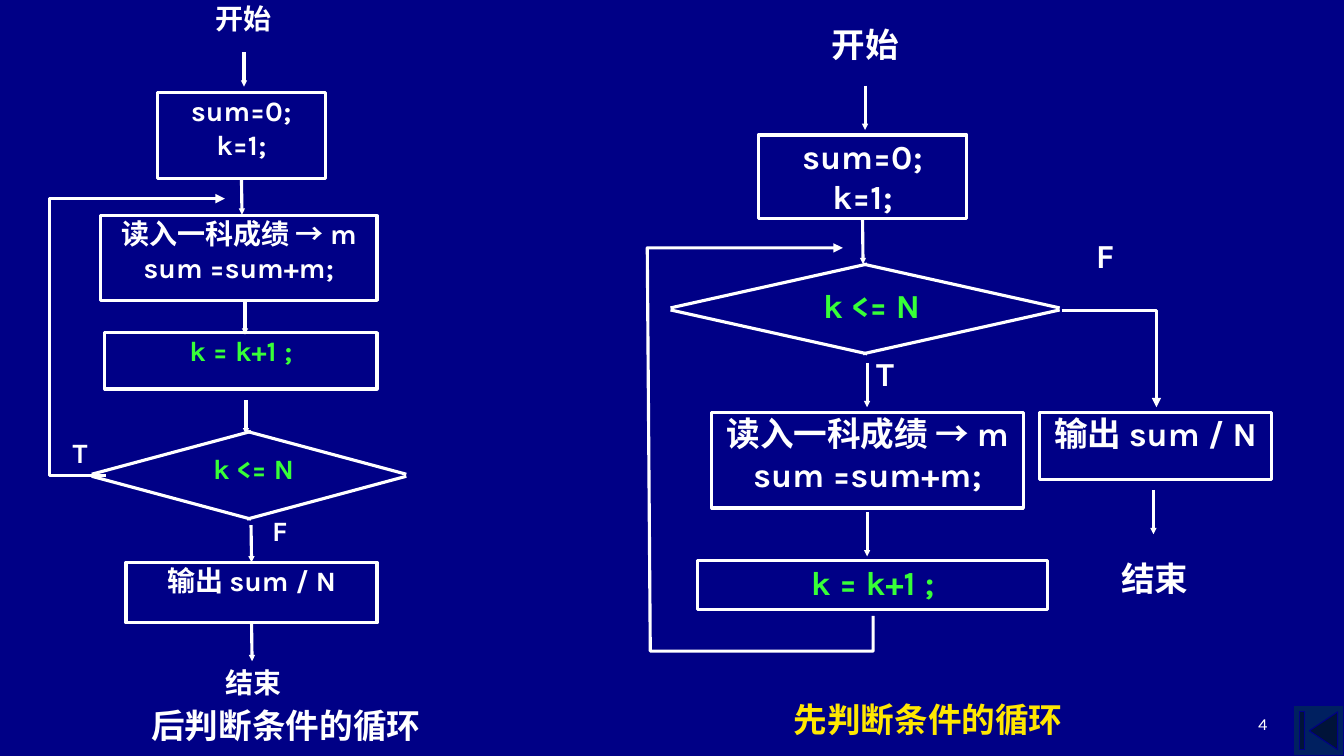
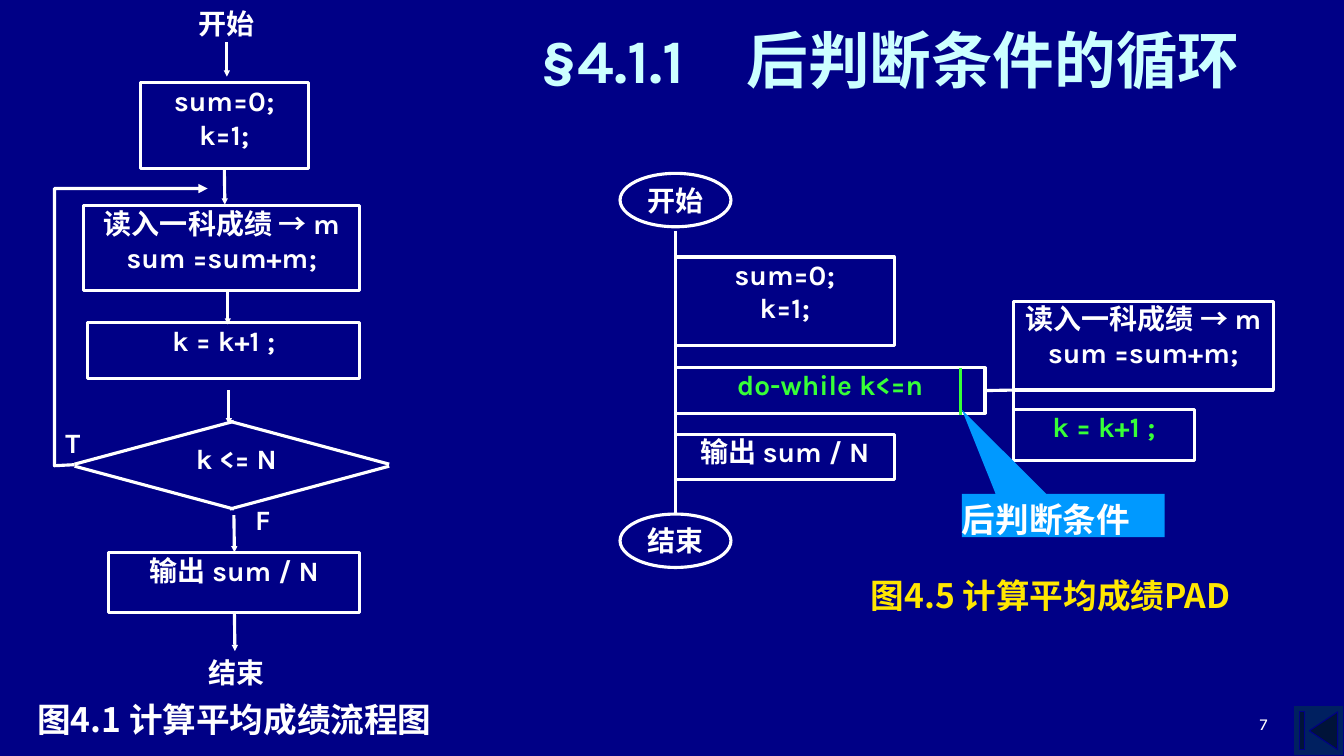
"""Build two slides that compare loop flowcharts and a PAD diagram."""
from dataclasses import dataclass
from typing import Optional

from lxml import etree
from pptx import Presentation
from pptx import util as u
from pptx.dml.color import RGBColor
from pptx.enum import shapes, text
from pptx.oxml import ns

NAVY = RGBColor(0x00, 0x00, 0x86)
BUTTON = RGBColor(0x00, 0x20, 0x60)
WHITE = RGBColor(0xFF, 0xFF, 0xFF)
GREEN = RGBColor(0x37, 0xFF, 0x37)
YELLOW = RGBColor(0xFF, 0xE7, 0x01)
PALE = RGBColor(0xCC, 0xFF, 0xFF)
BLUE = RGBColor(0x00, 0x99, 0xFF)

LATIN, CJK = "Karla", "Noto Sans CJK SC"
LEFT, CENTER, RIGHT = text.PP_ALIGN.LEFT, text.PP_ALIGN.CENTER, text.PP_ALIGN.RIGHT
TOP, MIDDLE, BOTTOM = (text.MSO_ANCHOR.TOP, text.MSO_ANCHOR.MIDDLE,
                       text.MSO_ANCHOR.BOTTOM)
SHAPE = shapes.MSO_SHAPE

INIT = "sum=0;\nk=1;"
READ = "读入一科成绩 → m\nsum =sum+m;"
STEP = "k = k+1 ;"
TEST = "k <= N"
OUTPUT = "输出 sum / N"
START, END = "开始", "结束"


@dataclass(frozen=True)
class Area:
    left: float
    top: float
    width: float
    height: float

    def emu(self) -> list:
        return [u.Inches(v) for v in (self.left, self.top, self.width, self.height)]


@dataclass(frozen=True)
class Node:
    words: str
    area: Area
    color: RGBColor = WHITE


def add_run(p, words: str, *, size: float, font: str = LATIN,
            color: RGBColor = WHITE, bold: bool = True) -> None:
    r = p.add_run()
    r.text = words
    r.font.size = u.Pt(size)
    r.font.bold = bold
    r.font.color.rgb = color
    r.font.name = font
    etree.SubElement(r.font._element, ns.qn("a:ea"), typeface=CJK)


def write(sp, words: str, *, align=CENTER, anchor=TOP,
          inset: tuple = (0.01, 0.01), **style) -> None:
    tf = sp.text_frame
    tf.word_wrap = True
    tf.vertical_anchor = anchor
    tf.margin_left = tf.margin_right = u.Inches(inset[0])
    tf.margin_top = tf.margin_bottom = u.Inches(inset[1])
    for i, line in enumerate(words.split("\n")):
        p = tf.add_paragraph() if i else tf.paragraphs[0]
        p.alignment = align
        add_run(p, line, **style)


def outline(sp, color: RGBColor = WHITE, width: float = 2.25,
            head: Optional[str] = None) -> None:
    sp.line.color.rgb = color
    sp.line.width = u.Pt(width)
    if head:
        etree.SubElement(sp.line._get_or_add_ln(), ns.qn("a:tailEnd"),
                         type="triangle", w=head, len=head)


@dataclass
class Canvas:
    """Draws diagram parts on a slide, moved by dx and dy."""
    s: object
    size: float = 20
    dx: float = 0
    dy: float = 0
    inset: float = 0.01

    def shift(self, area: Area) -> Area:
        return Area(area.left + self.dx, area.top + self.dy, area.width, area.height)

    def label(self, words: str, area: Area, **fmt):
        sp = self.s.shapes.add_textbox(*self.shift(area).emu())
        write(sp, words, **{"size": self.size, **fmt})
        return sp

    def box(self, node: Node, kind=SHAPE.RECTANGLE, anchor=TOP):
        sp = self.s.shapes.add_shape(kind, *self.shift(node.area).emu())
        sp.shadow.inherit = False
        sp.fill.background()
        outline(sp)
        write(sp, node.words, size=self.size, color=node.color, anchor=anchor,
              inset=(self.inset, self.inset))
        return sp

    def line(self, x1: float, y1: float, x2: float, y2: float,
             color: RGBColor = WHITE, head: Optional[str] = None):
        cxn = self.s.shapes.add_connector(
            shapes.MSO_CONNECTOR.STRAIGHT,
            u.Inches(x1 + self.dx), u.Inches(y1 + self.dy),
            u.Inches(x2 + self.dx), u.Inches(y2 + self.dy))
        outline(cxn, color, head=head)
        etree.SubElement(cxn._element.spPr, ns.qn("a:effectLst"))
        return cxn

    def arrow(self, x: float, y: float, length: float):
        return self.line(x, y, x, y + length, head="sm")

    def route(self, *points: tuple) -> None:
        emu = [(u.Inches(x + self.dx), u.Inches(y + self.dy)) for x, y in points]
        fb = self.s.shapes.build_freeform(*emu[0])
        fb.add_line_segments(emu[1:], close=False)
        sp = fb.convert_to_shape()
        sp.shadow.inherit = False
        sp.fill.background()
        outline(sp, head="med")

    def diamond(self, area: Area) -> None:
        middle = area.left + area.width / 2
        center = area.top + area.height / 2
        for side in (-1, 1):
            tip = middle + side * area.width / 2
            for end, y in ((-1, area.top), (1, area.top + area.height)):
                self.line(tip, center + end * 0.01, middle - side * 0.02, y)


def add_slide(prs, number: str):
    s = prs.slides.add_slide(prs.slide_layouts[6])
    button = s.shapes.add_shape(SHAPE.ACTION_BUTTON_BEGINNING,
                                *Area(12.83, 7, 0.5, 0.5).emu())
    button.shadow.inherit = False
    button.fill.solid()
    button.fill.fore_color.rgb = BUTTON
    outline(button, NAVY, 0.75)
    Canvas(s).label(number, Area(9.56, 6.83, 3.11, 0.5), size=12, bold=False,
                    align=RIGHT, anchor=BOTTOM, inset=(0.1, 0.05))
    return s


def caption(s, words: str, area: Area, **style) -> None:
    Canvas(s).label(words, area, size=24, inset=(0.1, 0.05), **style)


def post_test_flow(c: Canvas, accent: RGBColor, start_top: float,
                   true_left: float, loop: tuple) -> None:
    length = 0.34
    c.label(START, Area(1.74, start_top, 1.36, 0.48))
    init, _, _, output = [c.box(node) for node in (
        Node(INIT, Area(1.56, 0.92, 1.67, 0.85)),
        Node(READ, Area(1, 2.14, 2.74, 0.84)),
        Node(STEP, Area(1.04, 3.3, 2.7, 0.56), accent),
        Node(OUTPUT, Area(1.25, 5.58, 2.49, 0.6)))]
    c.diamond(Area(0.91, 4.28, 3.12, 0.87))
    c.label(TEST, Area(1.25, 4.47, 2.53, 0.48), color=accent)
    for x, y in ((2.42, 0.52), (2.43, 2.98), (2.44, 3.97)):
        c.arrow(x, y, length)
    c.arrow(2.4, 1.79, length).begin_connect(init, 2)
    c.arrow(2.49, 5.21, length).end_connect(output, 0)
    c.arrow(2.5, 6.22, length).begin_connect(output, 2)
    c.label("F", Area(2.69, 5.08, 0.46, 0.7), align=LEFT)
    c.label("T", Area(true_left, 4.31, 0.46, 0.62), align=LEFT)
    c.label(END, Area(1.45, 6.59, 2.13, 0.44))
    c.route(*loop)


def pre_test_flow(c: Canvas) -> None:
    c.label(START, Area(7.74, 0.23, 1.68, 0.47))
    init, *_ = [c.box(node) for node in (
        Node(INIT, Area(7.52, 1.34, 2.07, 0.83)),
        Node(READ, Area(7.06, 4.09, 3.09, 0.95)),
        Node(STEP, Area(6.92, 5.56, 3.47, 0.49), GREEN),
        Node(OUTPUT, Area(10.31, 4.09, 2.3, 0.67)))]
    c.diamond(Area(6.65, 2.62, 3.86, 0.89))
    c.label(TEST, Area(7.08, 2.82, 3.13, 0.49), color=GREEN)
    for x, y in ((8.58, 0.85), (8.6, 3.6), (8.6, 5.08), (11.44, 4.86)):
        c.arrow(x, y, 0.44)
    c.arrow(8.56, 2.18, 0.44).begin_connect(init, 2)
    c.label("F", Area(10.86, 2.32, 0.57, 0.9), align=LEFT)
    c.label("T", Area(8.68, 3.49, 0.57, 0.8), align=LEFT)
    c.label(END, Area(10.74, 5.52, 1.43, 0.52))
    c.route((8.66, 6.11), (8.66, 6.46), (6.45, 6.46), (6.42, 2.46), (8.36, 2.46))
    c.route((10.53, 3.08), (11.47, 3.08), (11.47, 4.04))


def pad_diagram(c: Canvas) -> None:
    spine, branch = 6.7, 10.05
    _, end = [c.box(Node(words, Area(spine - 0.55, top, 1.1, 0.53)), SHAPE.OVAL, MIDDLE)
              for words, top in ((START, 1.72), (END, 5.1))]
    _, loop, *_ = [c.box(node) for node in (
        Node(INIT, Area(spine, 2.55, 2.17, 0.88)),
        Node("do-while k<=n", Area(spine, 3.65, 3.07, 0.45), GREEN),
        Node(OUTPUT, Area(spine, 4.31, 2.17, 0.45)),
        Node(READ, Area(branch, 2.99, 2.58, 0.88)),
        Node(STEP, Area(branch, 4.06, 1.8, 0.51), GREEN))]
    c.line(spine, 2.29, spine, 5.1).end_connect(end, 0)
    c.line(9.53, 3.65, 9.53, 4.12, GREEN)
    c.line(9.8, 3.87, branch, 3.87).begin_connect(loop, 3)
    c.line(branch, 3.53, branch, 4.43)


def callout(s) -> None:
    sp = s.shapes.add_shape(SHAPE.RECTANGULAR_CALLOUT,
                            *Area(9.54, 4.9, 2.01, 0.43).emu())
    sp.shadow.inherit = False
    sp.fill.solid()
    sp.fill.fore_color.rgb = BLUE
    sp.line.fill.background()
    sp.adjustments[0], sp.adjustments[1] = -0.5, -2.44
    write(sp, "后判断条件", size=24, font="Arial", align=LEFT, inset=(0, 0.05))


def compare_slide(prs) -> None:
    s = add_slide(prs, "4")
    pre_test_flow(Canvas(s, size=24))
    post_test_flow(Canvas(s), GREEN, 0, 0.71,
                   ((1.05, 4.72), (0.49, 4.72), (0.49, 1.97), (2.23, 1.97)))
    caption(s, "后判断条件的循环", Area(1.17, 6.94, 3.33, 0.5), font="Courier New")
    caption(s, "先判断条件的循环", Area(7.54, 6.88, 3.33, 0.5), font="Courier New",
            color=YELLOW)


def post_test_slide(prs) -> None:
    s = add_slide(prs, "7")
    pad_diagram(Canvas(s, inset=0))
    post_test_flow(Canvas(s, dx=-0.17, dy=-0.1), WHITE, 0.15, 0.81,
                   ((0.91, 4.71), (0.71, 4.72), (0.71, 1.97), (2.23, 1.97)))
    caption(s, "图4.1 计算平均成绩流程图", Area(0.08, 6.88, 4.49, 0.5), font=CJK)
    caption(s, "图4.5 计算平均成绩PAD", Area(8.21, 5.65, 4.42, 0.5), font=CJK,
            color=YELLOW)
    title = Canvas(s).label("§4.1.1　", Area(4.33, -0.04, 9, 1.25), size=44,
                            color=PALE, anchor=MIDDLE, inset=(0.1, 0.05))
    add_run(title.text_frame.paragraphs[0], "后判断条件的循环", size=44,
            font="Arial", color=PALE)
    callout(s)


def main() -> None:
    prs = Presentation()
    prs.slide_width, prs.slide_height = u.Inches(13.33), u.Inches(7.5)
    fill = prs.slide_master.background.fill
    fill.solid()
    fill.fore_color.rgb = NAVY
    compare_slide(prs)
    post_test_slide(prs)
    prs.save("out.pptx")


if __name__ == "__main__":
    main()
